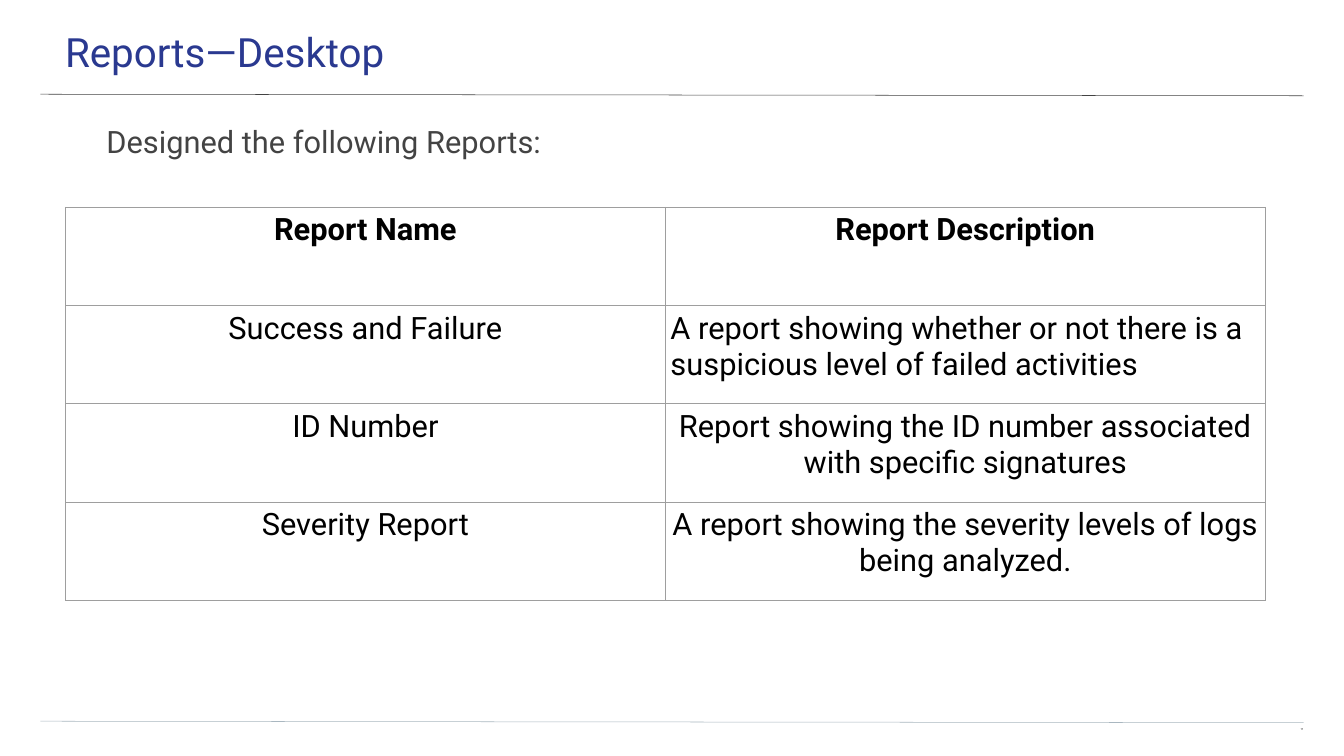
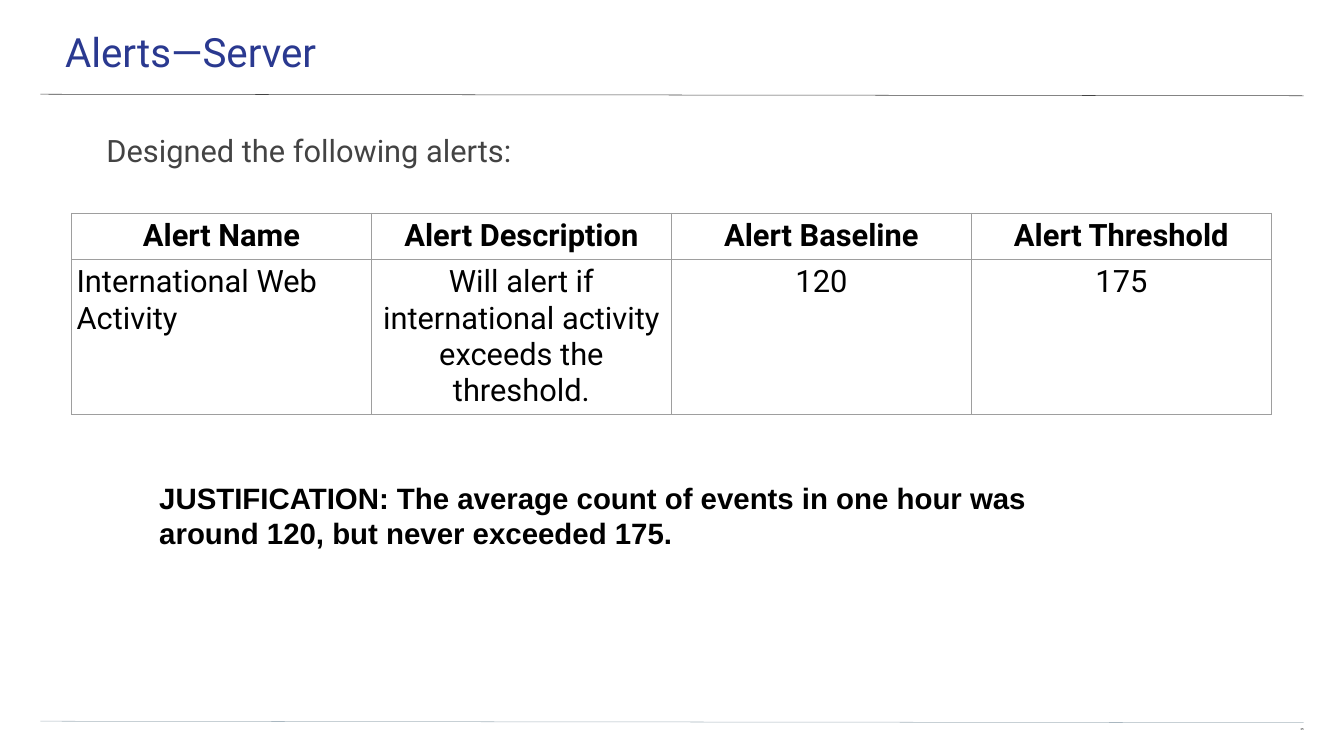
from dataclasses import dataclass
from typing import NamedTuple

from lxml import etree
from pptx import Presentation
from pptx import util as u
from pptx.dml.color import RGBColor
from pptx.enum import shapes, text
from pptx.oxml.ns import qn
from pptx.slide import Slide

LEFT, CENTER, RIGHT = text.PP_ALIGN.LEFT, text.PP_ALIGN.CENTER, text.PP_ALIGN.RIGHT


@dataclass(frozen=True)
class Theme:
    font: str = "Roboto"
    note_font: str = "Arial"
    title: str = "2A3990"
    body: str = "434343"
    black: str = "000000"
    footer_rule: str = "A9B7C0"
    border: str = "9E9E9E"
    title_size: float = 57.6
    body_size: float = 44
    note_size: float = 42
    number_size: float = 4
    rule_width: float = 0.75


THEME = Theme()


class Box(NamedTuple):
    left: float
    top: float
    width: float
    height: float


class Margins(NamedTuple):
    left: float
    top: float
    right: float
    bottom: float


class Style(NamedTuple):
    size: float
    color: str
    font: str = THEME.font
    bold: bool = False
    align: text.PP_ALIGN = LEFT
    line_spacing: float = 1.0


class Cell(NamedTuple):
    words: str
    align: text.PP_ALIGN = CENTER


class TableSpec(NamedTuple):
    left: float
    top: float
    column_width: float
    row_heights: list[float]
    rows: list[list[Cell]]


TITLE = Style(THEME.title_size, THEME.title)
INTRO = Style(THEME.body_size, THEME.body, line_spacing=1.15)
NUMBER = Style(THEME.number_size, THEME.black, align=RIGHT, line_spacing=0.8)
NOTE = Style(THEME.note_size, THEME.black, THEME.note_font, bold=True)
CELL_MARGINS = Margins(0.1, 0.1, 0.1, 0.1)


def style_paragraph(paragraph, style: Style) -> None:
    paragraph.alignment = style.align
    paragraph.line_spacing = style.line_spacing
    font = paragraph.font
    font.name, font.size, font.bold = style.font, u.Pt(style.size), style.bold
    font.color.rgb = RGBColor.from_string(style.color)


def set_margins(target, margins: Margins) -> None:
    """Apply margins to a text frame or a table cell."""
    target.margin_left, target.margin_top, target.margin_right, target.margin_bottom = map(u.Inches, margins)


def add_text(slide: Slide, words: str, box: Box, margins: Margins, style: Style) -> None:
    frame = slide.shapes.add_textbox(*map(u.Inches, box)).text_frame
    frame.word_wrap = True
    frame.auto_size = text.MSO_AUTO_SIZE.NONE
    frame.vertical_anchor = text.MSO_ANCHOR.TOP
    set_margins(frame, margins)
    frame.text = words
    style_paragraph(frame.paragraphs[0], style)


def add_rule(slide: Slide, top: float, color: str) -> None:
    """Draw a page-wide line that falls slightly to the right."""
    ends = map(u.Inches, (0.8, top, 25.86, top + 0.03))
    rule = slide.shapes.add_connector(shapes.MSO_CONNECTOR.STRAIGHT, *ends)
    rule.line.color.rgb = RGBColor.from_string(color)
    rule.line.width = u.Pt(THEME.rule_width)
    etree.SubElement(rule._element.spPr, qn("a:effectLst"))


def add_borders(cell) -> None:
    properties = cell._tc.get_or_add_tcPr()
    for side in ("L", "R", "T", "B"):
        line = etree.SubElement(properties, qn(f"a:ln{side}"), w=str(u.Pt(THEME.rule_width)))
        fill = etree.SubElement(line, qn("a:solidFill"))
        etree.SubElement(fill, qn("a:srgbClr"), val=THEME.border)


def add_table(slide: Slide, spec: TableSpec) -> None:
    columns = len(spec.rows[0])
    box = Box(spec.left, spec.top, spec.column_width * columns, sum(spec.row_heights))
    table = slide.shapes.add_table(len(spec.rows), columns, *map(u.Inches, box)).table
    table.first_row = table.horz_banding = False
    for column in table.columns:
        column.width = u.Inches(spec.column_width)
    for r, (height, row) in enumerate(zip(spec.row_heights, spec.rows)):
        table.rows[r].height = u.Inches(height)
        for c, content in enumerate(row):
            cell = table.cell(r, c)
            add_borders(cell)
            cell.fill.background()
            set_margins(cell, CELL_MARGINS)
            cell.text = content.words
            style = Style(THEME.body_size, THEME.black, bold=r == 0, align=content.align)
            style_paragraph(cell.text_frame.paragraphs[0], style)


def add_page(presentation, title: str, number: int, intro: str, intro_top: float, table: TableSpec) -> Slide:
    slide = presentation.slides.add_slide(presentation.slide_layouts[6])
    add_rule(slide, 1.87, THEME.body)
    add_rule(slide, 14.31, THEME.footer_rule)
    add_text(slide, title, Box(-0.04, 0, 26.73, 1.56), Margins(1.33, 0.53, 0.8, 0), TITLE)
    add_text(slide, str(number), Box(25.1, 14.46, 0.76, 0.31), Margins(0, 0, 0, 0), NUMBER)
    add_text(slide, intro, Box(0.78, intro_top, 25.09, 10.79), Margins(1.33, 0, 1.33, 0), INTRO)
    add_table(slide, table)
    return slide


REPORTS = TableSpec(1.3, 4.11, 11.9, [1.95] * 4, [
    [Cell("Report Name"), Cell("Report Description")],
    [Cell("Success and Failure"),
     Cell("A report showing whether or not there is a suspicious level of failed activities", LEFT)],
    [Cell("ID Number"), Cell("Report showing the ID number associated with specific signatures")],
    [Cell("Severity Report"), Cell("A report showing the severity levels of logs being analyzed.")],
])
ALERTS = TableSpec(1.42, 4.23, 5.95, [0.42, 0.93], [
    [Cell("Alert Name"), Cell("Alert Description"), Cell("Alert Baseline"), Cell("Alert Threshold")],
    [Cell("International Web Activity", LEFT),
     Cell("Will alert if international activity exceeds the threshold."), Cell("120"), Cell("175")],
])


def main() -> None:
    presentation = Presentation()
    presentation.slide_width, presentation.slide_height = u.Inches(26.66), u.Inches(15)
    add_page(presentation, "Reports—Desktop", 11, "Designed the following Reports:", 2.32, REPORTS)
    alerts = add_page(presentation, "Alerts—Server", 25, "Designed the following alerts:", 2.51, ALERTS)
    add_text(alerts,
             "JUSTIFICATION: The average count of events in one hour was around 120, but never exceeded 175.",
             Box(3.06, 9.43, 18.12, 1.62), CELL_MARGINS, NOTE)
    presentation.save("out.pptx")


if __name__ == "__main__":
    main()
